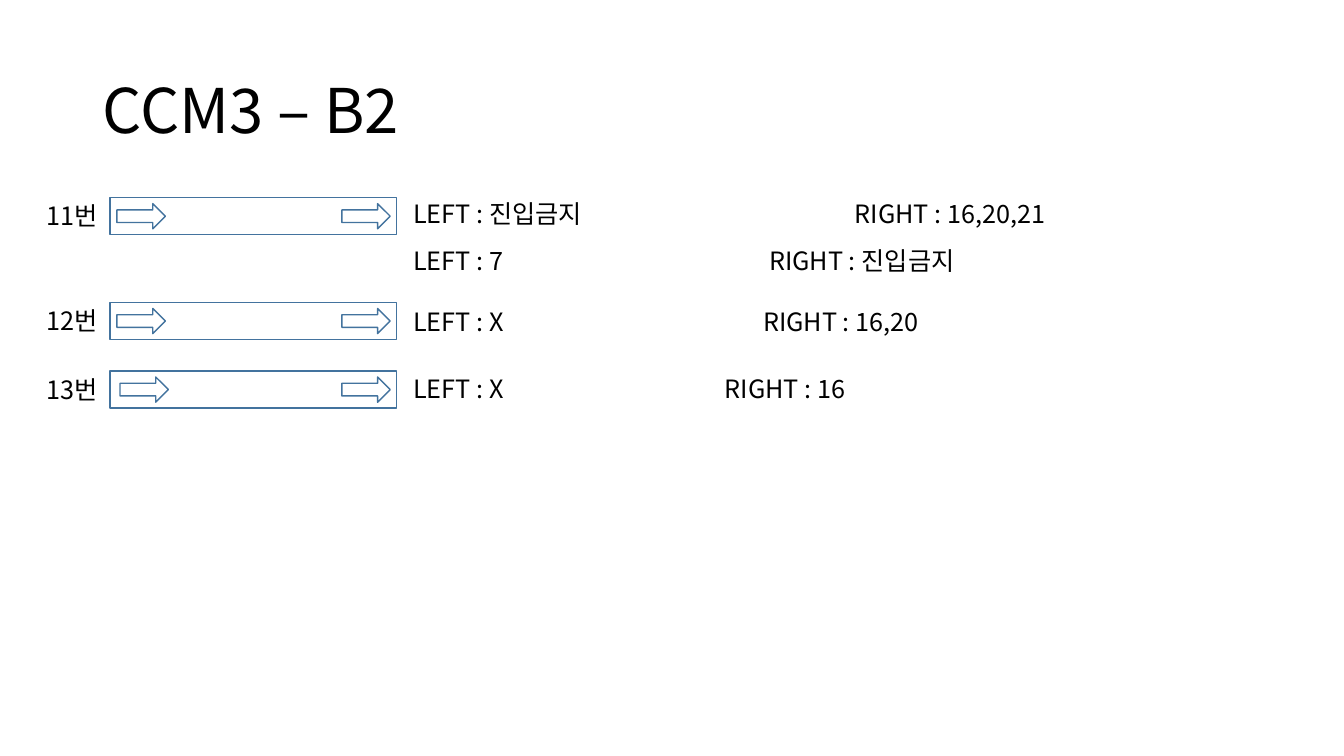
from lxml.etree import SubElement
from pptx import Presentation
from pptx.dml.color import RGBColor
from pptx.enum.shapes import MSO_SHAPE
from pptx.enum.text import MSO_ANCHOR, MSO_AUTO_SIZE, PP_ALIGN
from pptx.oxml.ns import qn
from pptx.util import Emu, Inches, Pt

FONT = "Noto Sans CJK KR"
BLACK, BLUE = "000000", "43739E"
LABEL_LEFT, LANE_LEFT, NOTE_LEFT = 0.36, 1.09, 4.0
LANE_WIDTH, LANE_HEIGHT = 2.84, 0.37
ARROW_WIDTH, ARROW_HEIGHT = 0.48, 0.25
TEXT_HEIGHT = 0.4

# Lane: number, top, inset of the first arrow,
# notes as (drop below lane top, left side, right side, tab position, width)
LANES = [
    ("11번", 1.96, 0.07, [
        (-0.04, "LEFT : 진입금지", "RIGHT : 16,20,21", 4.38, 7.16),
        (0.42, "LEFT : 7", "RIGHT : 진입금지", 3.53, 7.25)]),
    ("12번", 3.0, 0.07, [(-0.01, "LEFT : X", "RIGHT : 16,20", 3.47, 6.78)]),
    ("13번", 3.68, 0.1, [(-0.03, "LEFT : X", "RIGHT : 16", 3.09, 5.82)]),
]


def color(hex_value):
    return RGBColor.from_string(hex_value)


def style_para(para, size):
    for span in para.runs:
        span.font.size = Pt(size)
        span.font.name = FONT
        span.font.color.rgb = color(BLACK)
        east_asian = SubElement(span.font._element, qn("a:ea"))
        east_asian.set("typeface", FONT)


def add_title(page, text):
    title = page.shapes.title
    title.left, title.top = Inches(0.92), Inches(0.4)
    title.width, title.height = Inches(11.5), Inches(1.45)
    frame = title.text_frame
    frame.text = text
    frame.auto_size = MSO_AUTO_SIZE.NONE
    frame.vertical_anchor = MSO_ANCHOR.MIDDLE
    para = frame.paragraphs[0]
    para.alignment = PP_ALIGN.LEFT
    para.line_spacing = 0.9
    style_para(para, 44)


def add_text(page, text, left, top, width, tab=None):
    box = page.shapes.add_textbox(*map(Inches, (left, top, width, TEXT_HEIGHT)))
    box.text_frame.word_wrap = True
    box.text_frame.text = text
    para = box.text_frame.paragraphs[0]
    if tab:
        tab_list = SubElement(para._p.get_or_add_pPr(), qn("a:tabLst"))
        SubElement(tab_list, qn("a:tab"), pos=str(Emu(Inches(tab))), algn="l")
    style_para(para, 18)


def add_outline(page, kind, left, top, width, height):
    shape = page.shapes.add_shape(kind, *map(Inches, (left, top, width, height)))
    shape.shadow.inherit = False
    shape.fill.background()
    shape.line.color.rgb = color(BLUE)
    shape.line.width = Pt(1)


def add_lane(page, top, number, first_inset, notes):
    # Number and lane frame
    add_text(page, number, LABEL_LEFT, top - 0.02, LANE_LEFT - LABEL_LEFT)
    add_outline(page, MSO_SHAPE.RECTANGLE, LANE_LEFT, top, LANE_WIDTH, LANE_HEIGHT)
    # Arrows at both ends of the lane
    arrow_top = top + (LANE_HEIGHT - ARROW_HEIGHT) / 2
    last_inset = LANE_WIDTH - ARROW_WIDTH - 0.06
    for inset in (first_inset, last_inset):
        add_outline(page, MSO_SHAPE.RIGHT_ARROW, LANE_LEFT + inset, arrow_top,
                    ARROW_WIDTH, ARROW_HEIGHT)
    # Left and right directions
    for drop, left_side, right_side, tab, width in notes:
        add_text(page, f"{left_side}\t{right_side}", NOTE_LEFT, top + drop, width, tab)


def main():
    deck = Presentation()
    deck.slide_width, deck.slide_height = Inches(13.33), Inches(7.5)
    page = deck.slides.add_slide(deck.slide_layouts[5])
    add_title(page, "CCM3 – B2")
    for number, top, first_inset, notes in LANES:
        add_lane(page, top, number, first_inset, notes)
    deck.save("out.pptx")


if __name__ == "__main__":
    main()
